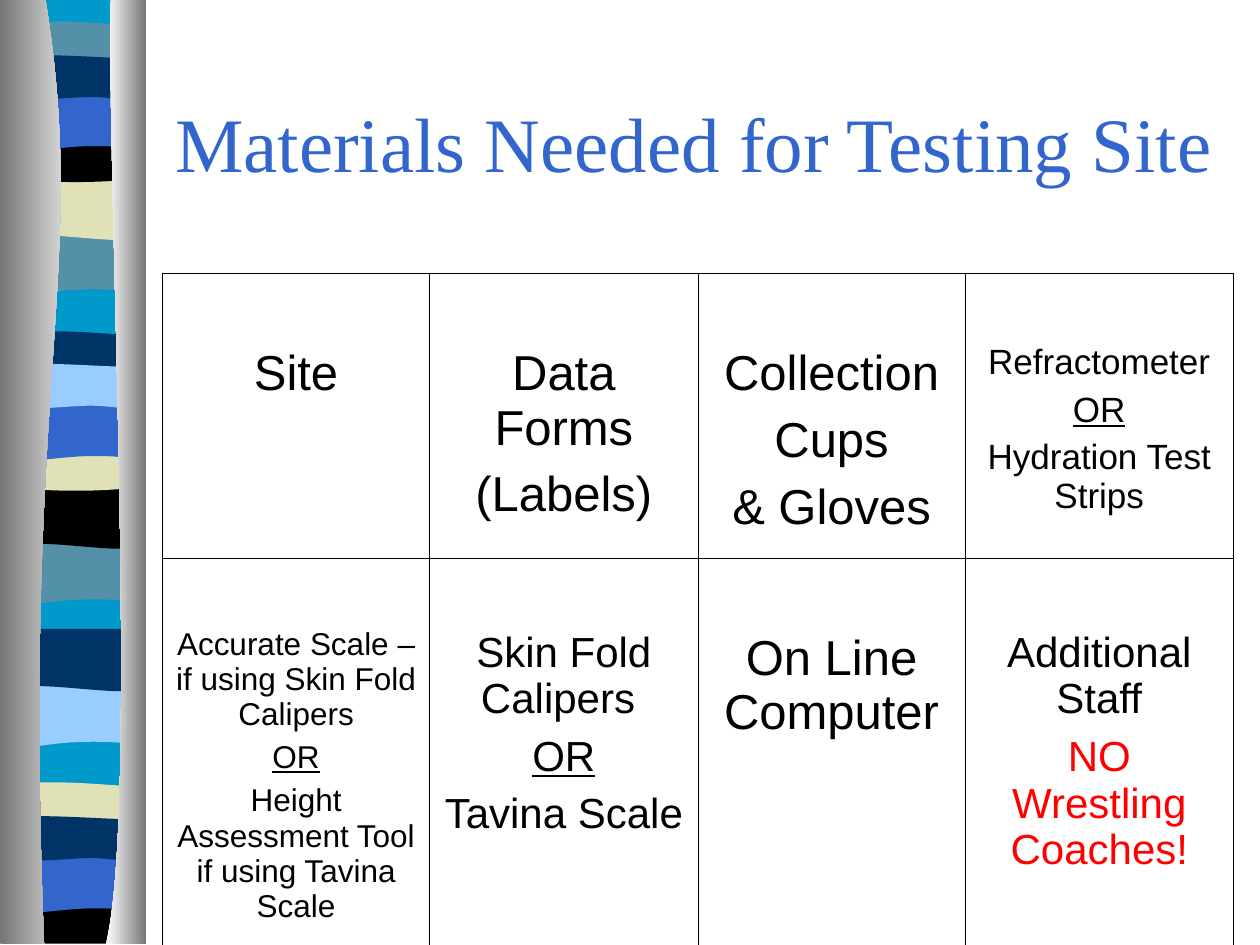
from lxml import etree
from pptx import Presentation
from pptx.dml.color import RGBColor
from pptx.enum import text
from pptx.oxml.ns import qn
from pptx.util import Emu, Inches, Pt

COLORS = {
    "cyan": "0099CC", "teal": "5490A8", "sand": "E1E1B7", "black": "000000",
    "blue": "3366CC", "navy": "003366", "sky": "99CCFF", "red": "FF0000",
    "gray": "767676", "white": "FFFFFF",
}
TITLE = "Materials Needed for Testing Site"
ROWS = [
    [
        (28, [("Site", "")]),
        (28, [("Data Forms", ""), ("(Labels)", "")]),
        (28, [("Collection", ""), ("Cups", ""), ("& Gloves", "")]),
        (20, [("Refractometer", ""), ("OR", "line"), ("Hydration Test Strips", "")]),
    ],
    [
        (18, [("Accurate Scale – if using Skin Fold Calipers", ""), ("OR", "line"),
              ("Height Assessment Tool if using Tavina Scale", "")]),
        (24, [("Skin Fold Calipers ", ""), ("OR", "line"), ("Tavina Scale", "")]),
        (28, [("On Line Computer", "")]),
        (24, [("Additional Staff", ""), ("NO Wrestling Coaches!", "red")]),
    ],
]
HEIGHTS = [2.26, 3.16]
WIDTHS = [2.12, 2.13, 2.12, 2.13]

LEFT, RIGHT = 0.06, 1.14
WAVES = {
    "flag": [(RIGHT, 0), (RIGHT, 0.47), (0.39, 0.39, 0.24, 0.55, LEFT, 0.47), (LEFT, 0)],
    "drape": [(RIGHT, 0), (RIGHT, 0.47), (0.96, 0.55, 0.39, 0.41, LEFT, 0.47), (LEFT, 0)],
    "hump": [(RIGHT, 0.05), (RIGHT, 0.29), (0.96, 0.33, 0.24, 0.33, LEFT, 0.29),
             (LEFT, 0.05), (0.12, 0, 0.29, 0.01, 0.47, 0.01),
             (0.65, 0.01, 1, 0.04, RIGHT, 0.05)],
    "bowl": [(RIGHT, 0), (RIGHT, 0.32), (0.96, 0.38, 0.24, 0.38, LEFT, 0.32),
             (LEFT, 0), (0.72, 0.05, 0.91, 0, RIGHT, 0)],
    "arch": [(RIGHT, 0), (RIGHT, 0.47), (0.97, 0.42, 0.9, 0.42, 0.72, 0.42),
             (0.54, 0.42, 0.22, 0.47, LEFT, 0.47), (LEFT, 0)],
    "roll": [(RIGHT, 0.05), (RIGHT, 0.36), (1.07, 0.41, 0.9, 0.36, 0.72, 0.36),
             (0.54, 0.36, 0.17, 0.41, LEFT, 0.36), (LEFT, 0.05),
             (0.21, 0, 0.79, 0.05, 0.97, 0.05), (1.15, 0.05, 1.1, 0.05, RIGHT, 0.05)],
    "foot": [(RIGHT, 0), (RIGHT, 0.37), (LEFT, 0.37), (LEFT, 0),
             (0.72, 0.05, 0.91, 0, RIGHT, 0)],
    "base": [(RIGHT, 0), (RIGHT, 7.48), (LEFT, 7.48), (LEFT, 0)],
    "west": [(0.36, 0), (0.71, 2.17, 0.17, 2.97, 0.35, 7.5), (0, 7.5), (0, 0)],
    "east": [(0.88, 0), (0.84, 1.26, 1.11, 6.47, 0.84, 7.5), (1.16, 7.5), (1.16, 0)],
}
BANDS = [
    ("base", -0.01, "cyan"),
    ("flag", 1.85, "teal"), ("drape", 1.41, "sand"), ("hump", 0.16, "teal"),
    ("bowl", 1.08, "black"), ("arch", 0.74, "blue"), ("roll", 0.41, "navy"),
    ("flag", 4.31, "teal"), ("drape", 3.86, "black"), ("hump", 2.62, "navy"),
    ("bowl", 3.53, "sand"), ("arch", 3.2, "blue"), ("roll", 2.86, "sky"),
    ("flag", 5.44, "sky"), ("drape", 4.99, "navy"), ("hump", 6.2, "sand"),
    ("foot", 7.12, "black"), ("arch", 6.79, "blue"), ("roll", 6.45, "navy"),
]
EDGES = [("west", ("gray", "white")), ("east", ("white", "gray"))]


def tint(name):
    return RGBColor.from_string(COLORS[name])


def bend(shape, wave):
    lines = iter(list(shape._element.iter(qn("a:lnTo"))))
    for part in wave[1:]:
        line = next(lines)
        if len(part) == 6:
            line.tag_curve = None
            curve = etree.Element(qn("a:cubicBezTo"))
            line.addprevious(curve)
            for old in (line, next(lines), next(lines)):
                curve.append(old[0])
                old.getparent().remove(old)


def draw(group, kind, top):
    wave = WAVES[kind]
    points = [(Inches(part[i]), Inches(part[i + 1] + top))
              for part in wave for i in range(0, len(part), 2)]
    pen = group.shapes.build_freeform(*points[0])
    pen.add_line_segments(points[1:], close=True)
    shape = pen.convert_to_shape()
    bend(shape, wave)
    shape.shadow.inherit = False
    shape.line.fill.background()
    return shape


def write(para, words, size, font, color):
    run = para.add_run()
    run.text = words
    run.font.size = Pt(size)
    run.font.name = font
    run.font.color.rgb = tint(color)
    return run


def border(cell, sides):
    props = cell._tc.get_or_add_tcPr()
    for side, width in sides.items():
        line = etree.SubElement(props, qn("a:ln" + side), w=str(Pt(width)))
        fill = etree.SubElement(line, qn("a:solidFill"))
        etree.SubElement(fill, qn("a:srgbClr"), val=COLORS["black"])


def fill_cell(cell, size, lines):
    gap = size / 4
    cell.margin_top = Emu(Inches(0.48) + Pt(gap))
    cell.margin_bottom = Inches(0.05)
    cell.margin_left = cell.margin_right = Inches(0.1)
    frame = cell.text_frame
    for index, (words, style) in enumerate(lines):
        para = frame.add_paragraph() if index else frame.paragraphs[0]
        para.alignment = text.PP_ALIGN.CENTER
        if index:
            para.space_before = Pt(gap)
        run = write(para, words, size, "Arial", "red" if style == "red" else "black")
        if style == "line":
            run.font.underline = True


def main():
    deck = Presentation()
    deck.slide_width, deck.slide_height = Inches(10), Inches(7.5)
    slide = deck.slides.add_slide(deck.slide_layouts[5])

    group = slide.shapes.add_group_shape()
    for kind, top, color in BANDS:
        shape = draw(group, kind, top)
        shape.fill.solid()
        shape.fill.fore_color.rgb = tint(color)
    for kind, shades in EDGES:
        fill = draw(group, kind, -0.01).fill
        fill.gradient()
        fill.gradient_angle = 0
        for place, (stop, shade) in enumerate(zip(fill.gradient_stops, shades)):
            stop.position = place
            stop.color.rgb = tint(shade)

    title = slide.shapes.title
    title.left, title.top = Inches(1.29), Inches(0.5)
    title.width, title.height = Inches(8.5), Inches(1.25)
    frame = title.text_frame
    frame.word_wrap = True
    frame.vertical_anchor = text.MSO_ANCHOR.MIDDLE
    frame.paragraphs[0].alignment = text.PP_ALIGN.LEFT
    write(frame.paragraphs[0], TITLE, 44, "Times New Roman", "blue")

    table = slide.shapes.add_table(
        len(ROWS), len(WIDTHS), Inches(1.29), Inches(2.17),
        Inches(sum(WIDTHS)), Inches(sum(HEIGHTS))).table
    table.first_row = table.horz_banding = False
    for column, width in zip(table.columns, WIDTHS):
        column.width = Inches(width)
    for r, cells in enumerate(ROWS):
        table.rows[r].height = Inches(HEIGHTS[r])
        for c, (size, lines) in enumerate(cells):
            cell = table.cell(r, c)
            outer = {"L": c == 0, "R": c == len(WIDTHS) - 1,
                     "T": r == 0, "B": r == len(ROWS) - 1}
            border(cell, {side: 1.08 if edge else 0.45 for side, edge in outer.items()})
            cell.fill.background()
            fill_cell(cell, size, lines)

    deck.save("out.pptx")


if __name__ == "__main__":
    main()
